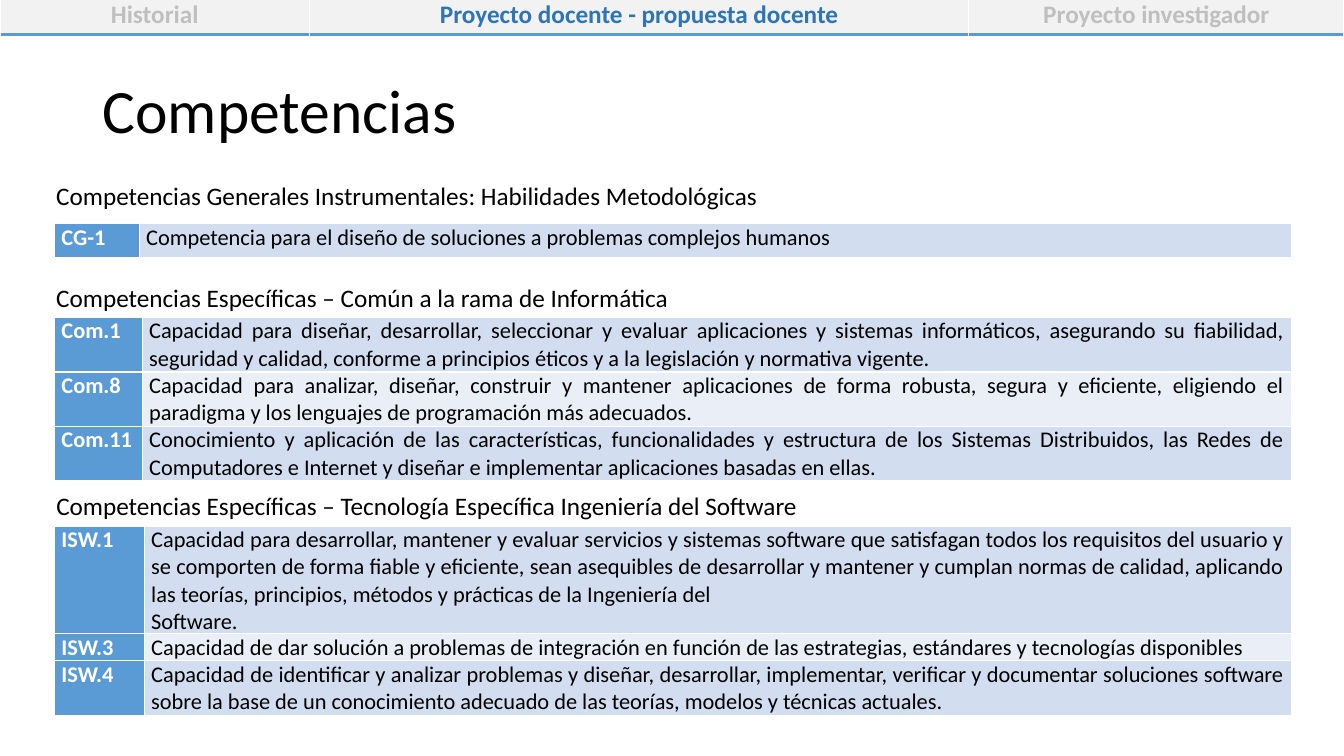
from lxml import etree
from pptx import Presentation
from pptx.dml.color import RGBColor
from pptx.enum import text as t
from pptx.oxml import ns
from pptx.util import Inches, Pt

BLACK = RGBColor(0, 0, 0)
WHITE = RGBColor(255, 255, 255)
BLUE = RGBColor(0x5B, 0x9B, 0xD5)
DARK = RGBColor(0x2E, 0x75, 0xB6)
BANDS = RGBColor(0xD2, 0xDE, 0xEF), RGBColor(0xEA, 0xEF, 0xF7)
GRAY = RGBColor(0xBF, 0xBF, 0xBF)
PALE = RGBColor(0xF2, 0xF2, 0xF2)

TABS = [
    ("Historial", 3.07, GRAY),
    ("Proyecto docente - propuesta docente", 6.54, DARK),
    ("Proyecto investigador", 3.72, GRAY),
]
HEADS = [
    ("Competencias", (0.92, 0.4, 11.5, 1.45),
     dict(size=44, lead=0.9, anchor=t.MSO_ANCHOR.MIDDLE)),
    ("Competencias Generales Instrumentales: Habilidades Metodológicas",
     (0.46, 1.77, 11.5, 0.52), dict(lead=0.9)),
    ("Competencias Específicas – Común a la rama de Informática",
     (0.46, 2.75, 6.34, 0.4), dict(wrap=False)),
    ("Competencias Específicas – Tecnología Específica Ingeniería del Software",
     (0.46, 4.82, 7.65, 0.4), dict(wrap=False)),
]
GROUPS = [
    (2.22, 0.84, [
        ("CG-1", 0.34, "Competencia para el diseño de soluciones a problemas complejos humanos"),
    ]),
    (3.15, 0.87, [
        ("Com.1", 0.54, "Capacidad para diseñar, desarrollar, seleccionar y evaluar aplicaciones y sistemas informáticos, asegurando su fiabilidad, seguridad y calidad, conforme a principios éticos y a la legislación y normativa vigente."),
        ("Com.8", 0.54, "Capacidad para analizar, diseñar, construir y mantener aplicaciones de forma robusta, segura y eficiente, eligiendo el paradigma y los lenguajes de programación más adecuados."),
        ("Com.11", 0.54, "Conocimiento y aplicación de las características, funcionalidades y estructura de los Sistemas Distribuidos, las Redes de Computadores e Internet y diseñar e implementar aplicaciones basadas en ellas."),
    ]),
    (5.22, 0.89, [
        ("ISW.1", 1.06, "Capacidad para desarrollar, mantener y evaluar servicios y sistemas software que satisfagan todos los requisitos del usuario y se comporten de forma fiable y eficiente, sean asequibles de desarrollar y mantener y cumplan normas de calidad, aplicando las teorías, principios, métodos y prácticas de la Ingeniería del\nSoftware."),
        ("ISW.3", 0.27, "Capacidad de dar solución a problemas de integración en función de las estrategias, estándares y tecnologías disponibles"),
        ("ISW.4", 0.54, "Capacidad de identificar y analizar problemas y diseñar, desarrollar, implementar, verificar y documentar soluciones software sobre la base de un conocimiento adecuado de las teorías, modelos y técnicas actuales."),
    ]),
]
LEFT, WIDTH = 0.54, 12.27


def write(frame, words, size=18, color=BLACK, bold=False, align=t.PP_ALIGN.LEFT,
          lead=None, anchor=t.MSO_ANCHOR.TOP, wrap=True):
    frame.word_wrap = wrap
    frame.vertical_anchor = anchor
    frame.text = words
    for para in frame.paragraphs:
        para.alignment = align
        para.line_spacing = lead
        font = para.runs[0].font
        font.name, font.size, font.bold = "Calibri", Pt(size), bold
        font.color.rgb = color


def edge(cell, side, color, width):
    line = etree.SubElement(cell._tc.get_or_add_tcPr(), ns.qn("a:ln" + side), w=str(Pt(width)))
    fill = etree.SubElement(line, ns.qn("a:solidFill"))
    etree.SubElement(fill, ns.qn("a:srgbClr"), val=str(color))


def paint(cell, color, edges):
    for side, ink, width in edges:
        edge(cell, side, ink, width)
    cell.fill.solid()
    cell.fill.fore_color.rgb = color


def grid(slide, left, top, cols, rows):
    box = [Inches(n) for n in (left, top, sum(cols), sum(rows))]
    table = slide.shapes.add_table(len(rows), len(cols), *box).table
    table.first_row = table.horz_banding = False
    for col, width in zip(table.columns, cols):
        col.width = Inches(width)
    for row, height in zip(table.rows, rows):
        row.height = Inches(height)
    return table


def main():
    deck = Presentation()
    deck.slide_width, deck.slide_height = Inches(13.33), Inches(7.5)
    slide = deck.slides.add_slide(deck.slide_layouts[6])

    for words, place, style in HEADS:
        box = slide.shapes.add_textbox(*[Inches(n) for n in place])
        write(box.text_frame, words, **style)

    frame = [(side, WHITE, 1) for side in "LRTB"]
    for top, first, rows in GROUPS:
        table = grid(slide, LEFT, top, [first, WIDTH - first], [row[1] for row in rows])
        for i, (code, high, words) in enumerate(rows):
            pair = (code, BLUE, WHITE, True), (words, BANDS[i % 2], BLACK, False)
            for j, (label, fill, ink, bold) in enumerate(pair):
                cell = table.cell(i, j)
                cell.margin_left = cell.margin_right = Inches(0.07)
                cell.margin_top = cell.margin_bottom = 0
                paint(cell, fill, frame)
                write(cell.text_frame, label, size=16, color=ink, bold=bold,
                      align=t.PP_ALIGN.JUSTIFY)

    bar = grid(slide, 0, -0.06, [tab[1] for tab in TABS], [0.4])
    rule = [("L", WHITE, 1), ("R", WHITE, 1), ("B", BLUE, 2.25)]
    for j, (label, wide, ink) in enumerate(TABS):
        paint(bar.cell(0, j), PALE, rule)
        write(bar.cell(0, j).text_frame, label, color=ink, bold=True, align=t.PP_ALIGN.CENTER)

    deck.save("out.pptx")


if __name__ == "__main__":
    main()
